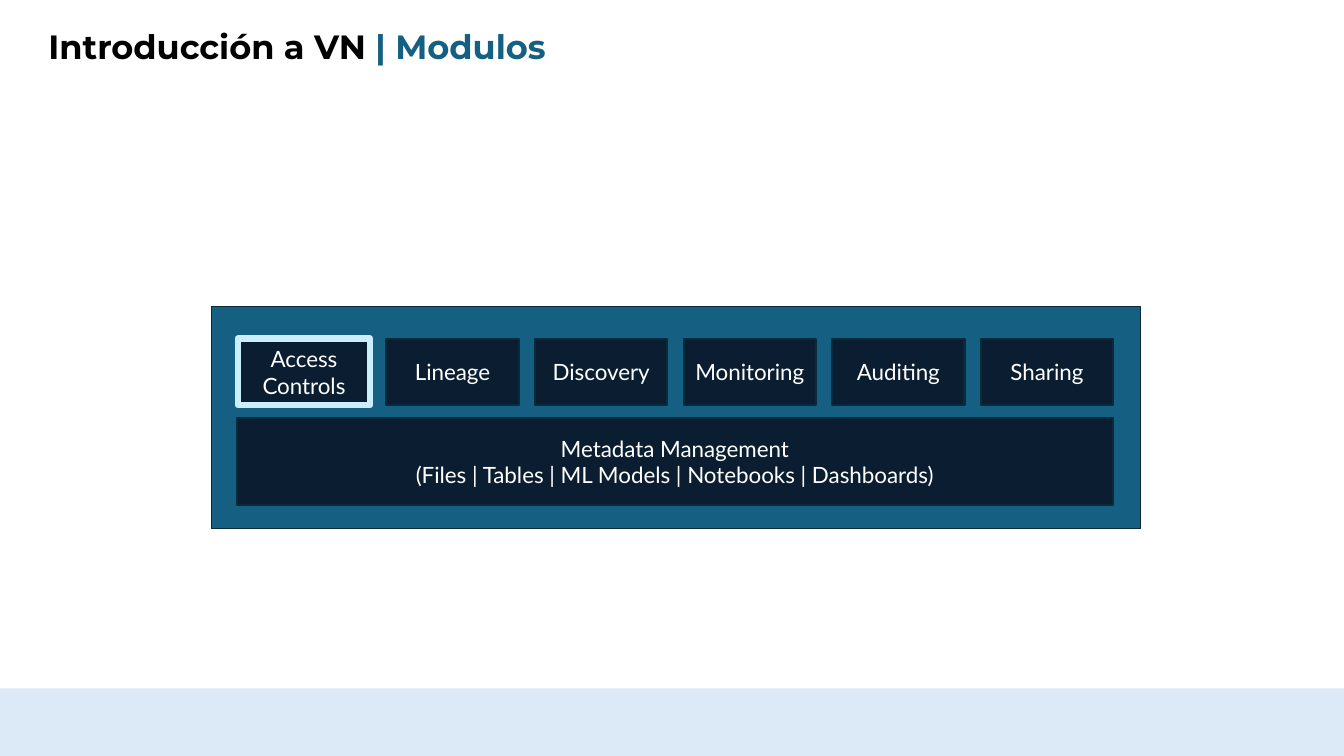
from pptx import Presentation
from pptx.dml.color import RGBColor
from pptx.enum.shapes import MSO_SHAPE
from pptx.enum.text import MSO_ANCHOR, PP_ALIGN
from pptx.util import Pt

TEAL, NAVY, EDGE = "156082", "0B1E31", "092A39"
HIGHLIGHT, PALE_BLUE, WHITE, BLACK = "CAEEFB", "DCEAF7", "FFFFFF", "000000"

MODULES = [
    ["Access", "Controls"],
    ["Lineage"],
    ["Discovery"],
    ["Monitoring"],
    ["Auditing"],
    ["Sharing"],
]
METADATA = [
    "Metadata Management",
    "(Files | Tables | ML Models | Notebooks | Dashboards)",
]


def color(hex_code):
    return RGBColor.from_string(hex_code)


def add_run(paragraph, text, font, size, ink, bold=False):
    run = paragraph.add_run()
    run.text = text
    run.font.name = font
    run.font.size = Pt(size)
    run.font.bold = bold
    run.font.color.rgb = color(ink)


def add_box(shapes, left, top, width, height, fill, edge=None, weight=0):
    box = shapes.add_shape(
        MSO_SHAPE.RECTANGLE, Pt(left), Pt(top), Pt(width), Pt(height))
    box.shadow.inherit = False
    box.fill.solid()
    box.fill.fore_color.rgb = color(fill)
    if edge:
        box.line.color.rgb = color(edge)
        box.line.width = Pt(weight)
    else:
        box.line.fill.background()
    return box


def add_label(box, lines):
    frame = box.text_frame
    frame.word_wrap = True
    frame.vertical_anchor = MSO_ANCHOR.MIDDLE
    frame.margin_left = frame.margin_right = Pt(3.6)
    for index, line in enumerate(lines):
        paragraph = frame.add_paragraph() if index else frame.paragraphs[0]
        paragraph.alignment = PP_ALIGN.CENTER
        add_run(paragraph, line, "Lato", 16, WHITE)


def set_title(title):
    title.left, title.top = Pt(27.4), Pt(13.7)
    title.width, title.height = Pt(620.6), Pt(42.5)
    frame = title.text_frame
    frame.vertical_anchor = MSO_ANCHOR.MIDDLE
    frame.margin_left = frame.margin_right = Pt(7.2)
    frame.margin_top = frame.margin_bottom = Pt(3.6)
    paragraph = frame.paragraphs[0]
    paragraph.alignment = PP_ALIGN.LEFT
    paragraph.line_spacing = 0.9
    add_run(paragraph, "Introducción a VN ", "Montserrat", 24, BLACK, True)
    add_run(paragraph, "| Modulos", "Montserrat", 24, TEAL, True)


def add_catalog(shapes):
    # Panel and metadata base
    add_box(shapes, 151.2, 218.9, 663.1, 158.6, TEAL, EDGE, 0.25)
    metadata = add_box(shapes, 169.2, 298.4, 625.7, 62.6, NAVY, EDGE, 1.5)
    add_label(metadata, METADATA)

    # Row of modules, the first one highlighted
    left, width, pitch = 169.9, 94.5, 106.15
    for index, lines in enumerate(MODULES):
        edge, weight = (EDGE, 1.5) if index else (HIGHLIGHT, 4.5)
        module = add_box(shapes, left + index * pitch, 241.9, width, 47.5,
                         NAVY, edge, weight)
        add_label(module, lines)


def main():
    deck = Presentation()
    deck.slide_width, deck.slide_height = Pt(960), Pt(540)
    slide = deck.slides.add_slide(deck.slide_layouts[5])

    set_title(slide.shapes.title)
    add_catalog(slide.shapes.add_group_shape().shapes)

    # Footer band
    add_box(slide.shapes, 0, 491.8, 960, 48.2, PALE_BLUE)

    deck.save("out.pptx")


if __name__ == "__main__":
    main()
